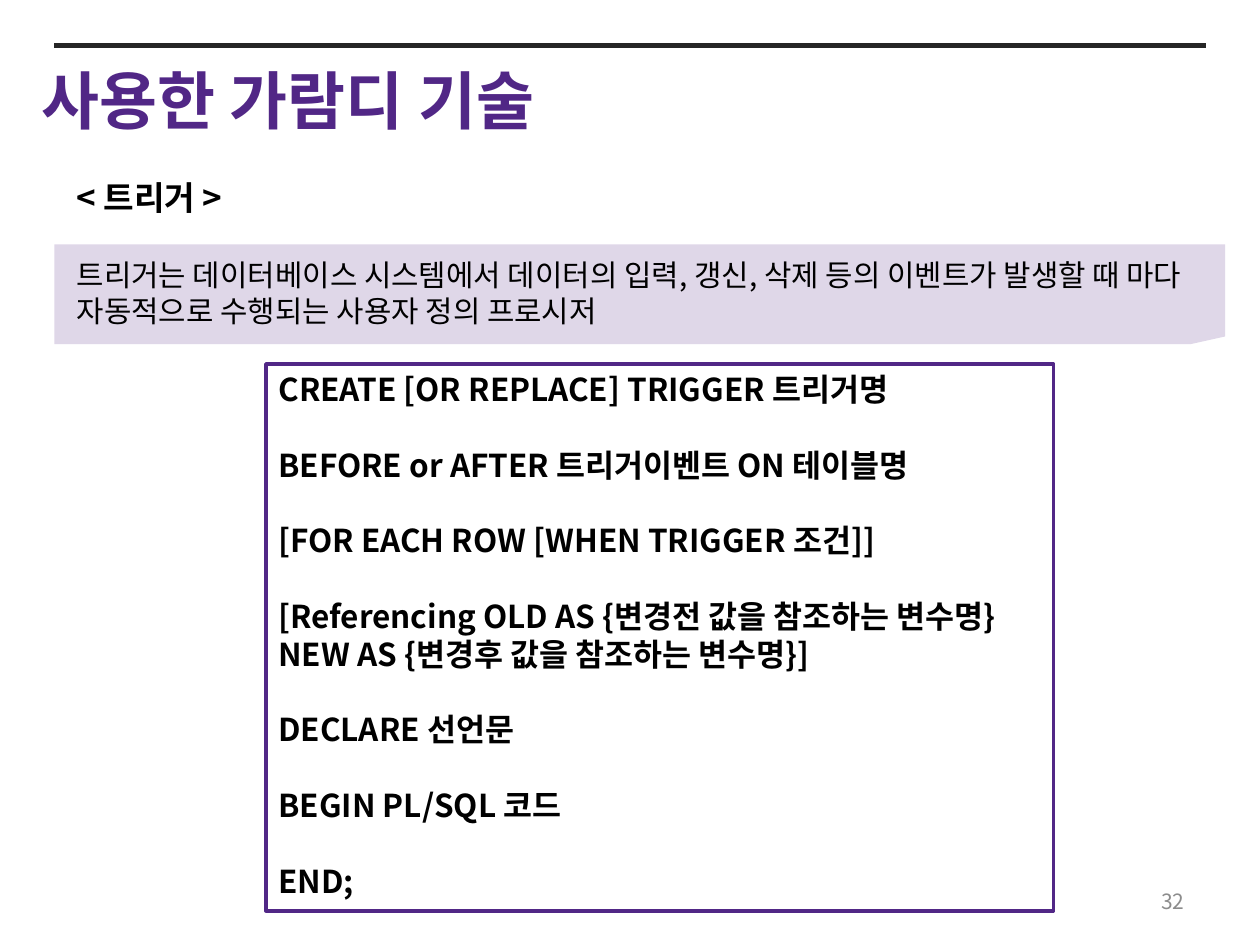
from dataclasses import dataclass

from lxml import etree
from pptx import Presentation
from pptx.dml.color import RGBColor
from pptx.enum.shapes import MSO_CONNECTOR, MSO_SHAPE
from pptx.enum.text import MSO_ANCHOR, MSO_AUTO_SIZE, PP_ALIGN
from pptx.oxml.ns import qn
from pptx.util import Pt

STRAIGHT = MSO_CONNECTOR.STRAIGHT
RECTANGLE = MSO_SHAPE.RECTANGLE
TOP, MIDDLE = MSO_ANCHOR.TOP, MSO_ANCHOR.MIDDLE
LEFT, RIGHT = PP_ALIGN.LEFT, PP_ALIGN.RIGHT
NO_AUTOFIT = MSO_AUTO_SIZE.NONE
TITLE_ONLY = 5


@dataclass(frozen=True)
class Theme:
    """Colours, type sizes and spacing of the slide."""

    font: str = "Noto Sans CJK KR"
    purple: str = "512786"
    lavender: str = "DFD7E8"
    rule: str = "262626"
    ink: str = "000000"
    muted: str = "8C8C8C"
    paper: str = "FFFFFF"
    title: int = 36
    heading: int = 19
    code: int = 18
    body: int = 17
    number: int = 12
    line_height: float = 1.2


THEME = Theme()

TRIGGER_SYNTAX = [
    "CREATE [OR REPLACE] TRIGGER 트리거명",
    "BEFORE or AFTER 트리거이벤트 ON 테이블명",
    "[FOR EACH ROW [WHEN TRIGGER 조건]]",
    "[Referencing OLD AS {변경전 값을 참조하는 변수명} NEW AS {변경후 값을 참조하는 변수명}]",
    "DECLARE 선언문",
    "BEGIN PL/SQL 코드",
    "END;",
]
DEFINITION = (
    "트리거는 데이터베이스 시스템에서 데이터의 입력, 갱신, 삭제 등의 이벤트가 "
    "발생할 때 마다 자동적으로 수행되는 사용자 정의 프로시저"
)


def write(holder, lines, size, color=THEME.ink, bold=False, align=LEFT, anchor=TOP, gap=0):
    """Fill a shape with paragraphs that share one style, set apart by gap."""
    frame = holder.text_frame
    frame.text = "\n".join(lines)
    frame.word_wrap = True
    frame.auto_size = NO_AUTOFIT
    frame.vertical_anchor = anchor
    for index, paragraph in enumerate(frame.paragraphs):
        paragraph.alignment = align
        paragraph.line_spacing = Pt(size * THEME.line_height)
        paragraph.space_before = Pt(gap if index else 0)
        for run in paragraph.runs:
            run.font.size = Pt(size)
            run.font.bold = bold
            run.font.color.rgb = RGBColor.from_string(color)
            run.font.name = THEME.font
            east_asian = etree.SubElement(run._r.get_or_add_rPr(), qn("a:ea"))
            east_asian.set("typeface", THEME.font)


def paint(shape, fill):
    """Give a shape a plain fill and no shadow."""
    shape.shadow.inherit = False
    shape.fill.solid()
    shape.fill.fore_color.rgb = RGBColor.from_string(fill)


def add_title(slide, text, left, top, width, height):
    """Move the title placeholder and write the title."""
    title = slide.shapes.title
    title.left, title.top = Pt(left), Pt(top)
    title.width, title.height = Pt(width), Pt(height)
    write(title, [text], THEME.title, THEME.purple, bold=True)


def add_label(slide, text, left, top, width, height, size, **style):
    """Add a text box with one paragraph."""
    label = slide.shapes.add_textbox(Pt(left), Pt(top), Pt(width), Pt(height))
    write(label, [text], size, **style)


def add_rule(slide, left, right, y):
    """Add the heavy horizontal rule above the title."""
    rule = slide.shapes.add_connector(STRAIGHT, Pt(left), Pt(y), Pt(right), Pt(y))
    rule.line.color.rgb = RGBColor.from_string(THEME.rule)
    rule.line.width = Pt(3)
    etree.SubElement(rule._element.spPr, qn("a:effectLst"))


def add_banner(slide, left, top, right, bottom, cut_width, cut_height):
    """Add a band whose lower right corner is cut off."""
    corners = [
        (left, top),
        (left, bottom),
        (right - cut_width, bottom),
        (right, bottom - cut_height),
    ]
    builder = slide.shapes.build_freeform(Pt(right), Pt(top))
    builder.add_line_segments([(Pt(x), Pt(y)) for x, y in corners], close=True)
    banner = builder.convert_to_shape()
    paint(banner, THEME.lavender)
    banner.line.fill.background()


def add_code_box(slide, lines, left, top, width, height):
    """Add the outlined box with one blank line's space between statements."""
    box = slide.shapes.add_shape(RECTANGLE, Pt(left), Pt(top), Pt(width), Pt(height))
    paint(box, THEME.paper)
    box.line.color.rgb = RGBColor.from_string(THEME.purple)
    box.line.width = Pt(2)
    write(box, lines, THEME.code, bold=True, gap=THEME.code * THEME.line_height)


def main():
    """Build the trigger slide and save it."""
    deck = Presentation()
    deck.slide_width, deck.slide_height = Pt(720), Pt(540)
    slide = deck.slides.add_slide(deck.slide_layouts[TITLE_ONLY])

    add_banner(slide, 31, 139.7, 700, 196.6, 19.4, 4.3)
    add_title(slide, "사용한 가람디 기술", 16.7, 31.7, 536, 51)
    add_rule(slide, 31, 689, 25.9)
    add_label(slide, "< 트리거 >", 36.7, 98, 176, 30, THEME.heading, bold=True)
    add_label(slide, "32", 516, 500.4, 168, 29, THEME.number,
              color=THEME.muted, align=RIGHT, anchor=MIDDLE)
    add_label(slide, DEFINITION, 36.7, 143.3, 666, 48, THEME.body)
    add_code_box(slide, TRIGGER_SYNTAX, 152, 208, 450, 312.5)

    deck.save("out.pptx")


if __name__ == "__main__":
    main()
